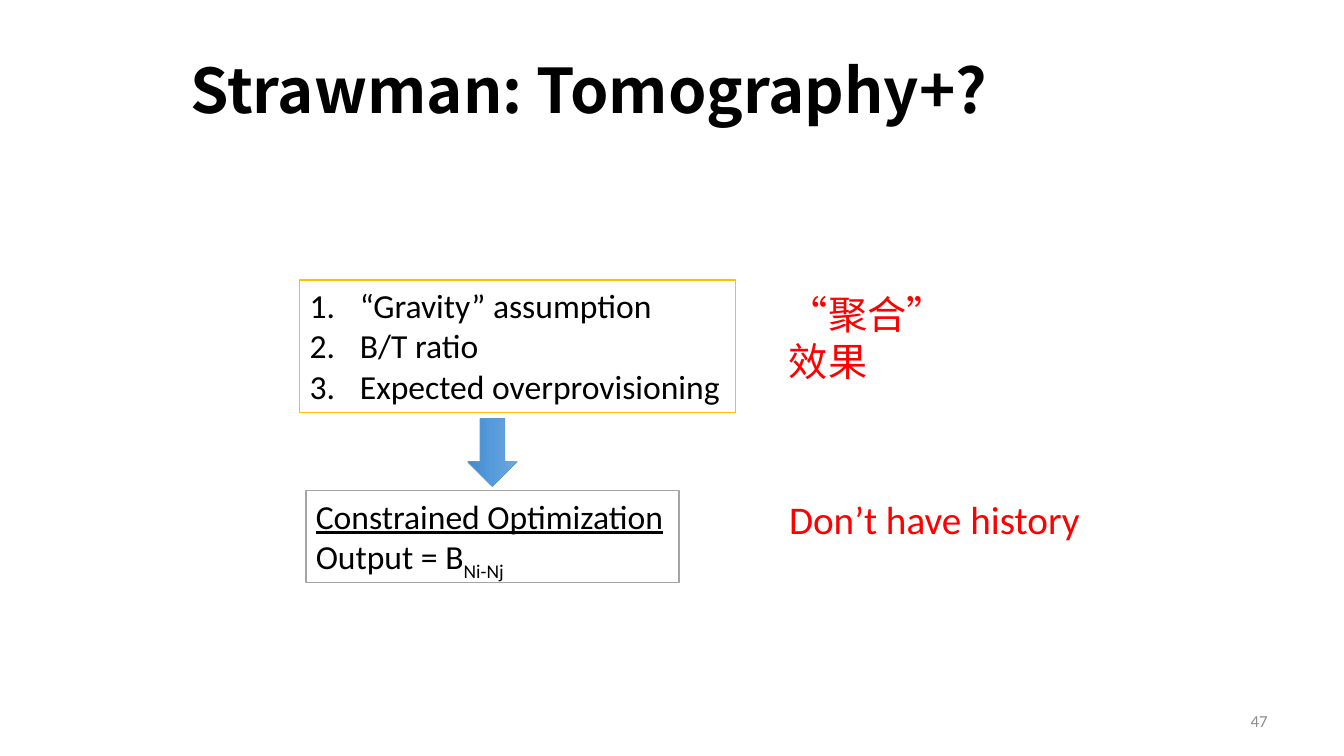
from copy import deepcopy

from lxml.etree import SubElement
from pptx import Presentation
from pptx.dml.color import RGBColor
from pptx.enum.shapes import MSO_SHAPE as SHAPE
from pptx.enum.text import MSO_ANCHOR as ANCHOR, PP_ALIGN as ALIGN
from pptx.oxml.ns import qn
from pptx.util import Pt

BLACK = RGBColor(0x00, 0x00, 0x00)
WHITE = RGBColor(0xFF, 0xFF, 0xFF)
RED = RGBColor(0xFF, 0x00, 0x00)
GOLD = RGBColor(0xFF, 0xC0, 0x00)
GRAY = RGBColor(0xA5, 0xA5, 0xA5)
PAGE_GRAY = RGBColor(0x8C, 0x8C, 0x8C)
BLUE = RGBColor(0x5B, 0x9B, 0xD5)
ARROW_BLUES = (RGBColor(0x71, 0xA6, 0xDB), RGBColor(0x55, 0x9B, 0xDB),
               RGBColor(0x44, 0x8A, 0xCA))
LATIN, CJK = "Calibri", "Noto Sans CJK SC"


def add_run(p, text, size=24, color=BLACK, font=LATIN, bold=False,
            underline=False, baseline=0):
    r = p.add_run()
    r.text = text
    f = r.font
    f.size, f.name, f.bold, f.underline = Pt(size), font, bold, underline
    f.color.rgb = color
    rPr = r._r.get_or_add_rPr()
    SubElement(rPr, qn("a:ea")).set("typeface", CJK)
    if baseline:
        rPr.set("baseline", str(baseline * 1000))


def number(p, indent=36):
    pPr = p._p.get_or_add_pPr()
    pPr.set("marL", str(Pt(indent)))
    pPr.set("indent", str(-Pt(indent)))
    SubElement(pPr, qn("a:buFont")).set("typeface", "+mj-lt")
    SubElement(pPr, qn("a:buAutoNum")).set("type", "arabicPeriod")


class Slide:
    def __init__(self, prs):
        self.shapes = prs.slides.add_slide(prs.slide_layouts[6]).shapes

    def fill_text(self, s, paragraphs, anchor=ANCHOR.TOP, align=ALIGN.LEFT,
                  spacing=None, numbered=False):
        """Write paragraphs, each a list of (text, format) runs."""
        tf = s.text_frame
        tf.word_wrap = True
        tf.vertical_anchor = anchor
        for i, runs in enumerate(paragraphs):
            p = tf.add_paragraph() if i else tf.paragraphs[0]
            p.alignment = align
            if spacing:
                p.line_spacing = spacing
            if numbered:
                number(p)
            for text, fmt in runs:
                add_run(p, text, **fmt)

    def label(self, x, y, w, h, text, anchor=ANCHOR.TOP, align=ALIGN.LEFT,
              spacing=None, **fmt):
        s = self.shapes.add_textbox(Pt(x), Pt(y), Pt(w), Pt(h))
        self.fill_text(s, [[(text, fmt)]], anchor, align, spacing)

    def box(self, x, y, w, h, line, paragraphs, numbered=False):
        s = self.shapes.add_shape(SHAPE.RECTANGLE, Pt(x), Pt(y), Pt(w), Pt(h))
        s.shadow.inherit = False
        s.fill.solid()
        s.fill.fore_color.rgb = WHITE
        s.line.color.rgb = line
        s.line.width = Pt(1)
        self.fill_text(s, paragraphs, numbered=numbered)

    def down_arrow(self, x, y, w, h, colors):
        s = self.shapes.add_shape(SHAPE.RIGHT_ARROW, Pt(x), Pt(y), Pt(w), Pt(h))
        s.rotation = 90
        s.shadow.inherit = False
        s.line.color.rgb = BLUE
        s.line.width = Pt(0.5)
        s.fill.gradient()
        s.fill.gradient_angle = 270
        stops = s._element.spPr.find(".//" + qn("a:gsLst"))
        stops.append(deepcopy(stops[0]))
        for i, (stop, color) in enumerate(zip(s.fill.gradient_stops, colors)):
            stop.position = i / (len(colors) - 1)
            stop.color.rgb = color


def main():
    prs = Presentation()
    prs.slide_width, prs.slide_height = Pt(960), Pt(540)
    slide = Slide(prs)
    slide.label(129, 21.6, 648, 90, "Strawman: Tomography+?", ANCHOR.MIDDLE,
                spacing=0.9, size=44, font=CJK, bold=True)
    slide.box(218.5, 350.5, 266.5, 65.5, GRAY, [
        [("Constrained Optimization", {"underline": True})],
        [("Output = B", {}), ("Ni-Nj", {"baseline": -25})]])
    assumptions = ("“Gravity” assumption", "B/T ratio",
                   "Expected overprovisioning")
    slide.box(214, 200, 311.5, 94.5, GOLD,
              [[(text, {})] for text in assumptions], numbered=True)
    slide.down_arrow(327.5, 305.5, 48.5, 35.5, ARROW_BLUES)
    for y, w, text in ((203.5, 157.5, "“聚合” 效果"),
                       (350.5, 225.5, "Don’t have history")):
        slide.label(556.5, y, w, 41, text, size=28, color=RED)
    slide.label(688.5, 500.5, 224, 28.75, "47", ANCHOR.MIDDLE, ALIGN.RIGHT,
                size=12, color=PAGE_GRAY)
    prs.save("out.pptx")


if __name__ == "__main__":
    main()
